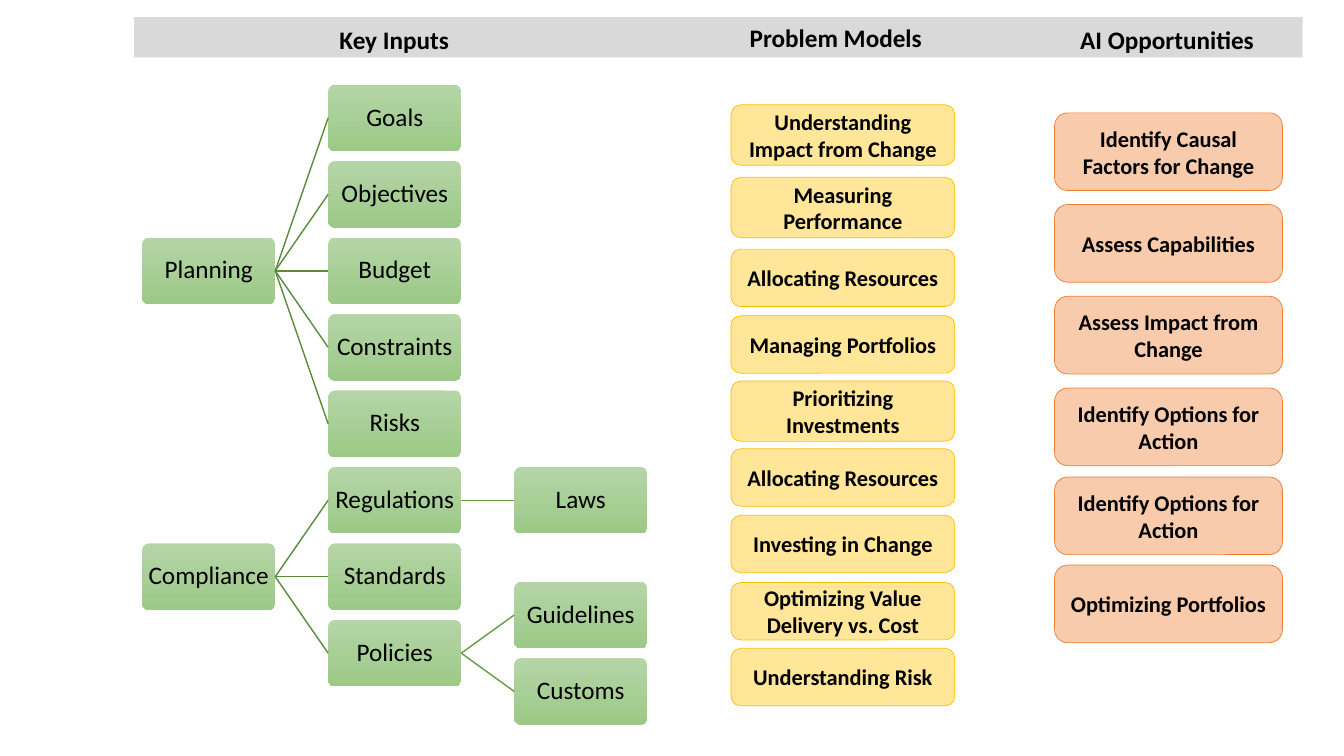
from lxml.etree import SubElement
from pptx import Presentation
from pptx.dml.color import RGBColor
from pptx.enum.shapes import MSO_CONNECTOR as Connector, MSO_SHAPE as Shape
from pptx.enum.text import MSO_ANCHOR as Anchor, PP_ALIGN as Align
from pptx.oxml.ns import qn
from pptx.util import Inches, Pt

BLACK = RGBColor(0x00, 0x00, 0x00)
BAND_GREY = RGBColor(0xD9, 0xD9, 0xD9)
GREEN_TOP = RGBColor(0xB5, 0xD5, 0xA7)
GREEN_BOTTOM = RGBColor(0x9C, 0xC9, 0x87)
BRANCH_GREENS = (RGBColor(0x5A, 0x8B, 0x39), RGBColor(0x66, 0x9D, 0x40))
YELLOW_FILL = RGBColor(0xFF, 0xE6, 0x99)
YELLOW_LINE = RGBColor(0xFF, 0xC0, 0x00)
ORANGE_FILL = RGBColor(0xF8, 0xCB, 0xAD)
ORANGE_LINE = RGBColor(0xED, 0x7D, 0x31)

TREE_LEFT, TREE_TOP = 1.41, 0.84
TREE_COLUMN, TREE_ROW = 1.845, 0.7586
NODE_WIDTH, NODE_HEIGHT = 1.32, 0.66
LEFT_SIDE, RIGHT_SIDE = 1, 3

INPUT_TREE = [
    ("Planning", 2, [
        ("Goals", 0, []),
        ("Objectives", 1, []),
        ("Budget", 2, []),
        ("Constraints", 3, []),
        ("Risks", 4, []),
    ]),
    ("Compliance", 6, [
        ("Regulations", 5, [("Laws", 5, [])]),
        ("Standards", 6, []),
        ("Policies", 7, [("Guidelines", 6.5, []), ("Customs", 7.5, [])]),
    ]),
]
HEADINGS = [
    ("Key Inputs", 3.05, 0.19, 1.72),
    ("Problem Models", 7.11, 0.17, 2.36),
    ("AI Opportunities", 10.23, 0.19, 2.69),
]
PROBLEM_MODELS = [
    ("Understanding Impact from Change", 0, 0.6),
    ("Measuring Performance", 1.09, 0.6),
    ("Allocating Resources", 2.17, 0.57),
    ("Managing Portfolios", 3.17, 0.57),
    ("Prioritizing Investments", 4.15, 0.6),
    ("Allocating Resources", 5.17, 0.57),
    ("Investing in Change", 6.17, 0.57),
    ("Optimizing Value Delivery vs. Cost", 7.18, 0.57),
    ("Understanding Risk", 8.17, 0.57),
]
AI_OPPORTUNITIES = [
    ("Identify Causal Factors for Change", 0, 0.77),
    ("Assess Capabilities", 1, 0.77),
    ("Assess Impact from Change", 2, 0.77),
    ("Identify Options for Action", 3, 0.77),
    ("Identify Options for Action", 3.97, 0.77),
    ("Optimizing Portfolios", 4.93, 0.77),
]


def write(box, text, size, bold, anchor=Anchor.MIDDLE):
    """Put one centred run of text in a box."""
    frame = box.text_frame
    frame.word_wrap = True
    frame.vertical_anchor = anchor
    para = frame.paragraphs[0]
    para.alignment = Align.CENTER
    span = para.add_run()
    span.text = text
    span.font.name = "Calibri"
    span.font.size = Pt(size)
    span.font.bold = bold
    span.font.color.rgb = BLACK
    return para


def add_box(page, kind, left, top, width, height):
    """Add a preset shape without shadow or outline."""
    box = page.shapes.add_shape(
        kind, Inches(left), Inches(top), Inches(width), Inches(height))
    box.shadow.inherit = False
    box.line.fill.background()
    return box


def add_heading_band(page):
    """Add the grey band with its column headings."""
    band = add_box(page, Shape.RECTANGLE, 1.33, 0.17, 11.59, 0.4)
    band.fill.solid()
    band.fill.fore_color.rgb = BAND_GREY
    for text, left, top, width in HEADINGS:
        box = page.shapes.add_textbox(
            Inches(left), Inches(top), Inches(width), Inches(0.4))
        write(box, text, 18, True, Anchor.TOP)


def add_node(page, text, column, row):
    """Add a green tree node at a grid position."""
    node = add_box(page, Shape.ROUNDED_RECTANGLE,
                   TREE_LEFT + column * TREE_COLUMN, TREE_TOP + row * TREE_ROW,
                   NODE_WIDTH, NODE_HEIGHT)
    node.adjustments[0] = 0.1
    node.fill.gradient()
    node.fill.gradient_angle = 270
    for stop, color in zip(node.fill.gradient_stops, (GREEN_TOP, GREEN_BOTTOM)):
        stop.color.rgb = color
    frame = node.text_frame
    frame.margin_left = frame.margin_right = Inches(0.03)
    frame.margin_top = frame.margin_bottom = Inches(0.03)
    write(node, text, 18, False).line_spacing = 0.9
    return node


def add_branch(page, parent, child, color):
    """Join a parent's right side to a child's left side."""
    branch = page.shapes.add_connector(Connector.STRAIGHT, 0, 0, 0, 0)
    branch.begin_connect(parent, RIGHT_SIDE)
    branch.end_connect(child, LEFT_SIDE)
    branch.line.color.rgb = color
    branch.line.width = Pt(1)
    SubElement(branch.element.spPr, qn("a:effectLst"))


def add_tree(page, entries, column=0, parent=None):
    """Add nodes and their descendants, one column per level."""
    for text, row, children in entries:
        node = add_node(page, text, column, row)
        if parent is not None:
            add_branch(page, parent, node, BRANCH_GREENS[column - 1])
        add_tree(page, children, column + 1, node)


def add_card_column(page, cards, left, top, width, pitch, fill, line):
    """Add a column of rounded cards placed by row."""
    for text, row, height in cards:
        card = add_box(page, Shape.ROUNDED_RECTANGLE,
                       left, top + row * pitch, width, height)
        card.fill.solid()
        card.fill.fore_color.rgb = fill
        card.line.color.rgb = line
        card.line.width = Pt(0.5)
        write(card, text, 16, True)


def main():
    """Build the slide and save the deck."""
    deck = Presentation()
    deck.slide_width = Inches(13.33)
    deck.slide_height = Inches(7.5)
    page = deck.slides.add_slide(deck.slide_layouts[6])
    add_tree(page, INPUT_TREE)
    add_heading_band(page)
    add_card_column(page, PROBLEM_MODELS, 7.25, 1.04, 2.22, 0.66,
                    YELLOW_FILL, YELLOW_LINE)
    add_card_column(page, AI_OPPORTUNITIES, 10.46, 1.12, 2.26, 0.91,
                    ORANGE_FILL, ORANGE_LINE)
    deck.save("out.pptx")


if __name__ == "__main__":
    main()
